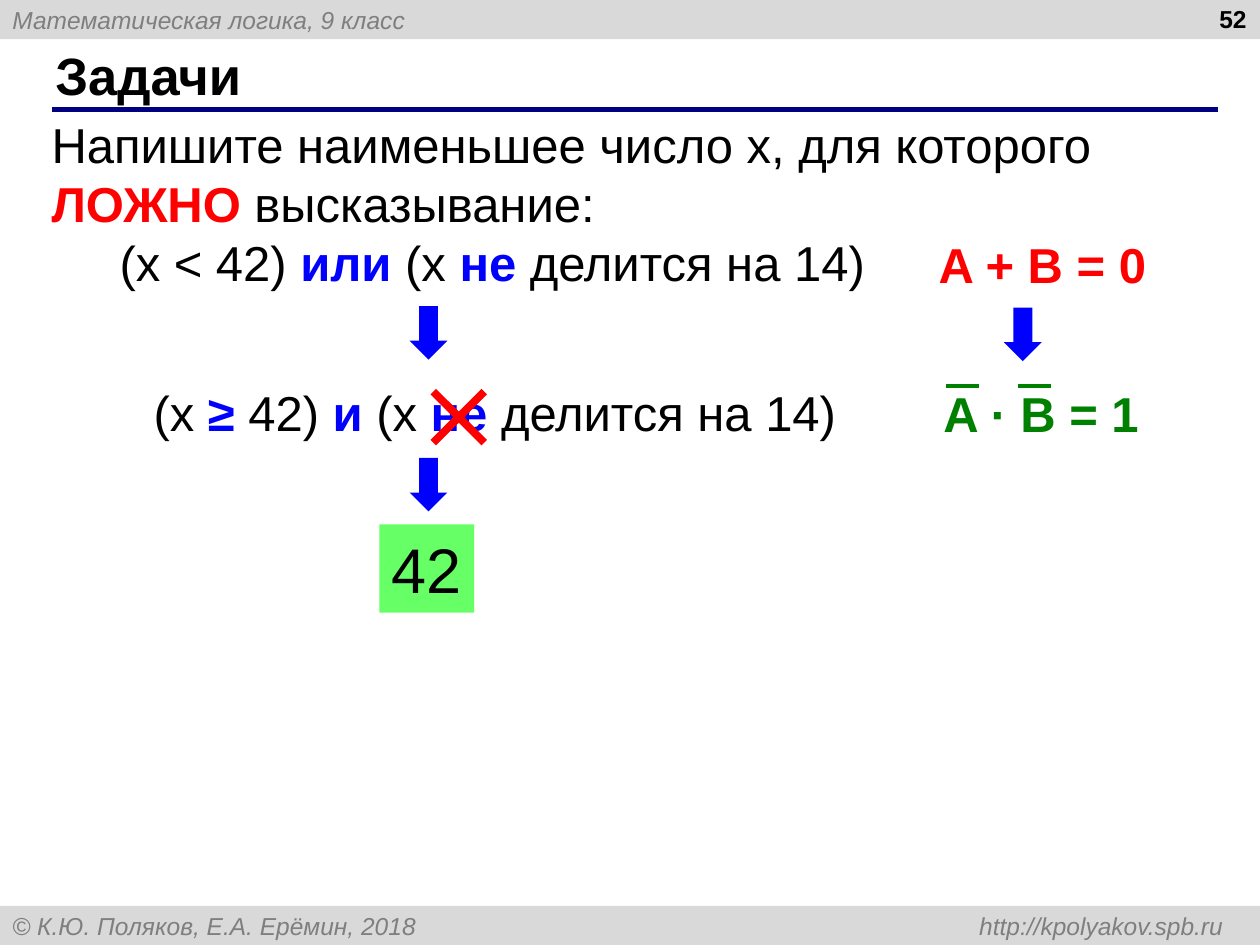
import dataclasses

import lxml.etree
import pptx
import pptx.dml.color
import pptx.enum.shapes
import pptx.enum.text
import pptx.oxml.ns
import pptx.util

Cm = pptx.util.Cm
Pt = pptx.util.Pt
RGB = pptx.dml.color.RGBColor.from_string
SHAPE = pptx.enum.shapes.MSO_SHAPE
ALIGN = pptx.enum.text.PP_ALIGN
ANCHOR = pptx.enum.text.MSO_ANCHOR
qn = pptx.oxml.ns.qn


@dataclasses.dataclass(frozen=True)
class Theme:
    font: str = "Arial"
    black: str = "000000"
    red: str = "FF0000"
    blue: str = "0000FF"
    green: str = "008000"
    navy: str = "000080"
    lime: str = "66FF66"
    band: str = "D9D9D9"
    grey: str = "7F7F7F"
    small: int = 14
    body: int = 28
    title: int = 30
    answer: int = 36


class Page:
    """Draws styled elements on one slide."""

    def __init__(self, s, theme):
        self.s = s
        self.theme = theme

    def add_runs(self, p, runs, size, italic=False):
        for text, color, bold in runs:
            r = p.add_run()
            r.text = text
            r.font.name = self.theme.font
            r.font.size = Pt(size)
            r.font.bold = bold
            r.font.italic = italic
            r.font.color.rgb = RGB(color)

    def title(self, text, x, y, w, h):
        sp = self.s.shapes.title
        sp.left, sp.top, sp.width, sp.height = Cm(x), Cm(y), Cm(w), Cm(h)
        tf = sp.text_frame
        tf.auto_size = pptx.enum.text.MSO_AUTO_SIZE.NONE
        tf.vertical_anchor = ANCHOR.MIDDLE
        tf.paragraphs[0].alignment = ALIGN.LEFT
        self.add_runs(tf.paragraphs[0], [(text, self.theme.black, True)], self.theme.title)

    def text(self, paragraphs, x, y, w, h, size, align=ALIGN.LEFT, inset=True, wrap=True):
        tf = self.s.shapes.add_textbox(Cm(x), Cm(y), Cm(w), Cm(h)).text_frame
        tf.word_wrap = wrap
        if not inset:
            tf.margin_left = tf.margin_right = tf.margin_top = tf.margin_bottom = 0
            tf.vertical_anchor = ANCHOR.MIDDLE
        for i, runs in enumerate(paragraphs):
            p = tf.add_paragraph() if i else tf.paragraphs[0]
            p.alignment = align
            self.add_runs(p, runs, size)
        return tf

    def shape(self, kind, x, y, w, h, fill, adjustments=()):
        sp = self.s.shapes.add_shape(kind, Cm(x), Cm(y), Cm(w), Cm(h))
        sp.shadow.inherit = False
        sp.fill.solid()
        sp.fill.fore_color.rgb = RGB(fill)
        sp.line.fill.background()
        for i, value in enumerate(adjustments):
            sp.adjustments[i] = value
        return sp

    def band(self, text, y, tab=None):
        sp = self.shape(SHAPE.RECTANGLE, 0, y, 25.4, 0.79, self.theme.band)
        tf = sp.text_frame
        tf.vertical_anchor = ANCHOR.MIDDLE
        p = tf.paragraphs[0]
        p.alignment = ALIGN.LEFT
        if tab:
            tabs = lxml.etree.SubElement(p._p.get_or_add_pPr(), qn("a:tabLst"))
            lxml.etree.SubElement(tabs, qn("a:tab"), pos=str(Cm(tab)), algn="r")
        self.add_runs(p, [(text, self.theme.grey, False)], self.theme.small, italic=True)

    def answer(self, text, x, y, w, h):
        tf = self.shape(SHAPE.RECTANGLE, x, y, w, h, self.theme.lime).text_frame
        tf.word_wrap = False
        tf.vertical_anchor = ANCHOR.TOP
        tf.paragraphs[0].alignment = ALIGN.LEFT
        self.add_runs(tf.paragraphs[0], [(text, self.theme.black, False)], self.theme.answer)

    def arrow(self, x, y):
        self.shape(SHAPE.DOWN_ARROW, x, y, 0.76, 1.08, self.theme.blue, (0.5, 0.5))

    def line(self, x, y, w, color, width):
        c = self.s.shapes.add_connector(
            pptx.enum.shapes.MSO_CONNECTOR.STRAIGHT, Cm(x), Cm(y), Cm(x + w), Cm(y))
        c.line.color.rgb = RGB(color)
        c.line.width = Pt(width)
        lxml.etree.SubElement(c._element.spPr, qn("a:effectLst"))


def main():
    prs = pptx.Presentation()
    prs.slide_width, prs.slide_height = Cm(25.4), Cm(19.05)
    t = Theme()
    page = Page(prs.slides.add_slide(prs.slide_layouts[5]), t)

    page.band("Математическая логика, 9 класс", 0)
    page.band("© К.Ю. Поляков, Е.А. Ерёмин, 2018\thttp://kpolyakov.spb.ru", 18.26, tab=24.41)
    page.line(1.04, 2.21, 23.52, t.navy, 3)
    page.title("Задачи", 0.86, 0.84, 23.27, 1.32)
    page.text([[("52", t.black, True)]], 19.46, -0.05, 5.92, 1.32, t.small, ALIGN.RIGHT)

    divisible = [("(x ", t.black, False), ("не", t.blue, True),
                 (" делится на 14)", t.black, False)]
    task = [("Напишите наименьшее число x, для которого ", t.black, False),
            ("ЛОЖНО", t.red, True), (" высказывание:", t.black, False)]
    claim = [("(x < 42) ", t.black, False), ("или ", t.blue, True)] + divisible
    negation = [("(x ", t.black, False), ("≥", t.blue, True), (" 42) ", t.black, False),
                ("и ", t.blue, True)] + divisible

    tf = page.text([task, claim], 1.04, 2.31, 23.5, 3.56, t.body, inset=False)
    tf.paragraphs[1]._p.get_or_add_pPr().set("marL", str(Cm(1.37)))
    page.text([negation], 1.9, 7.7, 16.15, 1.19, t.body, ALIGN.CENTER, inset=False)
    page.shape(SHAPE.MATH_MULTIPLY, 8.26, 7.42, 1.98, 1.98, t.red, (0.08,))
    page.answer("42", 7.65, 10.57, 1.91, 1.78)

    for formula, x, y, w, color in (("A + B = 0", 18.67, 4.6, 4.72, t.red),
                                    ("A · B = 1", 18.77, 7.6, 4.47, t.green)):
        page.text([[(formula, color, True)]], x, y, w, 1.45, t.body, wrap=False)
    for x in (19.08, 20.52):
        page.line(x, 7.79, 0.66, t.green, 2.25)
    for x, y in ((8.26, 6.17), (8.26, 9.23), (20.24, 6.2)):
        page.arrow(x, y)

    prs.save("out.pptx")


if __name__ == "__main__":
    main()
